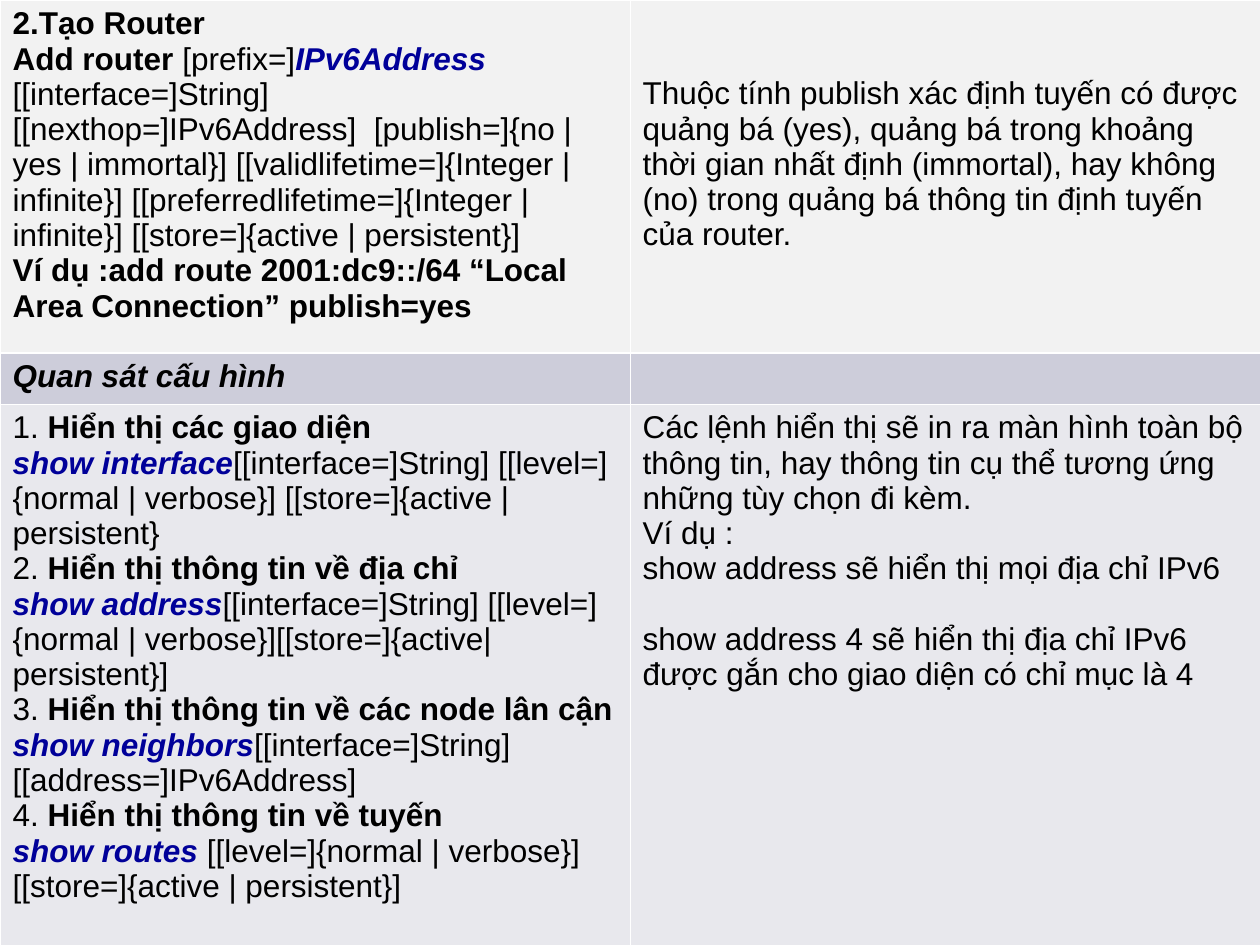
from lxml import etree
from pptx import Presentation
from pptx.dml.color import RGBColor
from pptx.oxml.ns import qn
from pptx.util import Pt

BLACK, NAVY, WHITE = "000000", "000099", "FFFFFF"
PLAIN = {"bold": False, "italic": False}
BOLD = {"bold": True, "italic": False}
HEADING = {"bold": True, "italic": True}
COMMAND = {"bold": True, "italic": True, "color": NAVY}
THIN, THICK = 0.45, 1.47
LINE = 20  # height of one text line

ROUTER = [
    [("2.Tạo Router", BOLD)],
    [("Add router ", BOLD), ("[prefix=]", PLAIN), ("IPv6Address", COMMAND),
     (" [[interface=]String] [[nexthop=]IPv6Address]  [publish=]{no | yes | immortal}] "
      "[[validlifetime=]{Integer | infinite}] [[preferredlifetime=]{Integer | infinite}] "
      "[[store=]{active | persistent}]", PLAIN)],
    [("Ví dụ :add route 2001:dc9::/64 “Local Area Connection” publish=yes", BOLD)],
]
PUBLISH = [[("Thuộc tính publish xác định tuyến có được quảng bá (yes), quảng bá trong "
             "khoảng thời gian nhất định (immortal), hay không (no) trong quảng bá "
             "thông tin định tuyến của router.", PLAIN)]]
SHOW_COMMANDS = [
    ("Hiển thị các giao diện", "show interface",
     "[[interface=]String] [[level=]{normal | verbose}] [[store=]{active | persistent}"),
    ("Hiển thị thông tin về địa chỉ", "show address",
     "[[interface=]String] [[level=]{normal | verbose}][[store=]{active| persistent}]"),
    ("Hiển thị thông tin về các node lân cận", "show neighbors",
     "[[interface=]String] [[address=]IPv6Address]"),
    ("Hiển thị thông tin về tuyến", "show routes",
     " [[level=]{normal | verbose}] [[store=]{active | persistent}]"),
]
EXPLANATION = [[(line, PLAIN)] for line in (
    "Các lệnh hiển thị sẽ in ra màn hình toàn bộ thông tin, hay thông tin cụ thể "
    "tương ứng những tùy chọn đi kèm.",
    "Ví dụ :",
    "show address sẽ hiển thị mọi địa chỉ IPv6",
    "show address 4 sẽ hiển thị địa chỉ IPv6 được gắn cho giao diện có chỉ mục là 4",
)]


def rgb(value):
    return RGBColor.from_string(value)


def show_paragraphs():
    """Number each show command: a title line, then its syntax line."""
    paragraphs = []
    for number, (title, command, options) in enumerate(SHOW_COMMANDS, 1):
        paragraphs += [[(f"{number}. ", PLAIN), (title, BOLD)],
                       [(command, COMMAND), (options, PLAIN)]]
    return paragraphs


def set_borders(cell, top, bottom):
    tcPr = cell._tc.get_or_add_tcPr()
    for side, width in {"L": THIN, "R": THIN, "T": top, "B": bottom}.items():
        ln = etree.SubElement(tcPr, qn(f"a:ln{side}"), w=str(Pt(width)))
        fill = etree.SubElement(ln, qn("a:solidFill"))
        etree.SubElement(fill, qn("a:srgbClr"), val=WHITE)


def fill_cell(cell, color):
    cell.fill.solid()
    cell.fill.fore_color.rgb = rgb(color)


def write_cell(cell, paragraphs, top=3.6):
    margins = {"margin_left": 7.2, "margin_right": 7.2,
               "margin_top": top, "margin_bottom": 3.6}
    for name, value in margins.items():
        setattr(cell, name, Pt(value))
    tf = cell.text_frame
    for i, runs in enumerate(paragraphs):
        p = tf.add_paragraph() if i else tf.paragraphs[0]
        for content, style in runs:
            r = p.add_run()
            r.text = content
            font = {"name": "Arial", "size": Pt(18), "color": BLACK, **style}
            r.font.color.rgb = rgb(font.pop("color"))
            for name, value in font.items():
                setattr(r.font, name, value)


def add_command_table(s, widths, heights):
    table = s.shapes.add_table(len(heights), len(widths), 0, 0,
                               Pt(sum(widths)), Pt(sum(heights))).table
    for column, width in zip(table.columns, widths):
        column.width = Pt(width)
    for row, height in zip(table.rows, heights):
        row.height = Pt(height)
    return table


def main():
    prs = Presentation()
    prs.slide_width, prs.slide_height = Pt(720), Pt(540)
    s = prs.slides.add_slide(prs.slide_layouts[6])
    table = add_command_table(s, [360, 360], [201.6, 28.8, 309.6])

    row_formats = [("F2F2F2", THIN, THICK), ("CDCDDA", THICK, THIN), ("E8E8ED", THIN, THIN)]
    for row, (color, top, bottom) in zip(table.rows, row_formats):
        for cell in row.cells:
            set_borders(cell, top, bottom)
            fill_cell(cell, color)

    write_cell(table.cell(0, 0), ROUTER)
    write_cell(table.cell(0, 1), PUBLISH, top=3.6 + 2 * LINE)
    write_cell(table.cell(1, 0), [[("Quan sát cấu hình", HEADING)]])
    write_cell(table.cell(2, 0), show_paragraphs())
    write_cell(table.cell(2, 1), EXPLANATION)
    table.cell(2, 1).text_frame.paragraphs[-1].space_before = Pt(LINE)

    prs.save("out.pptx")


if __name__ == "__main__":
    main()
